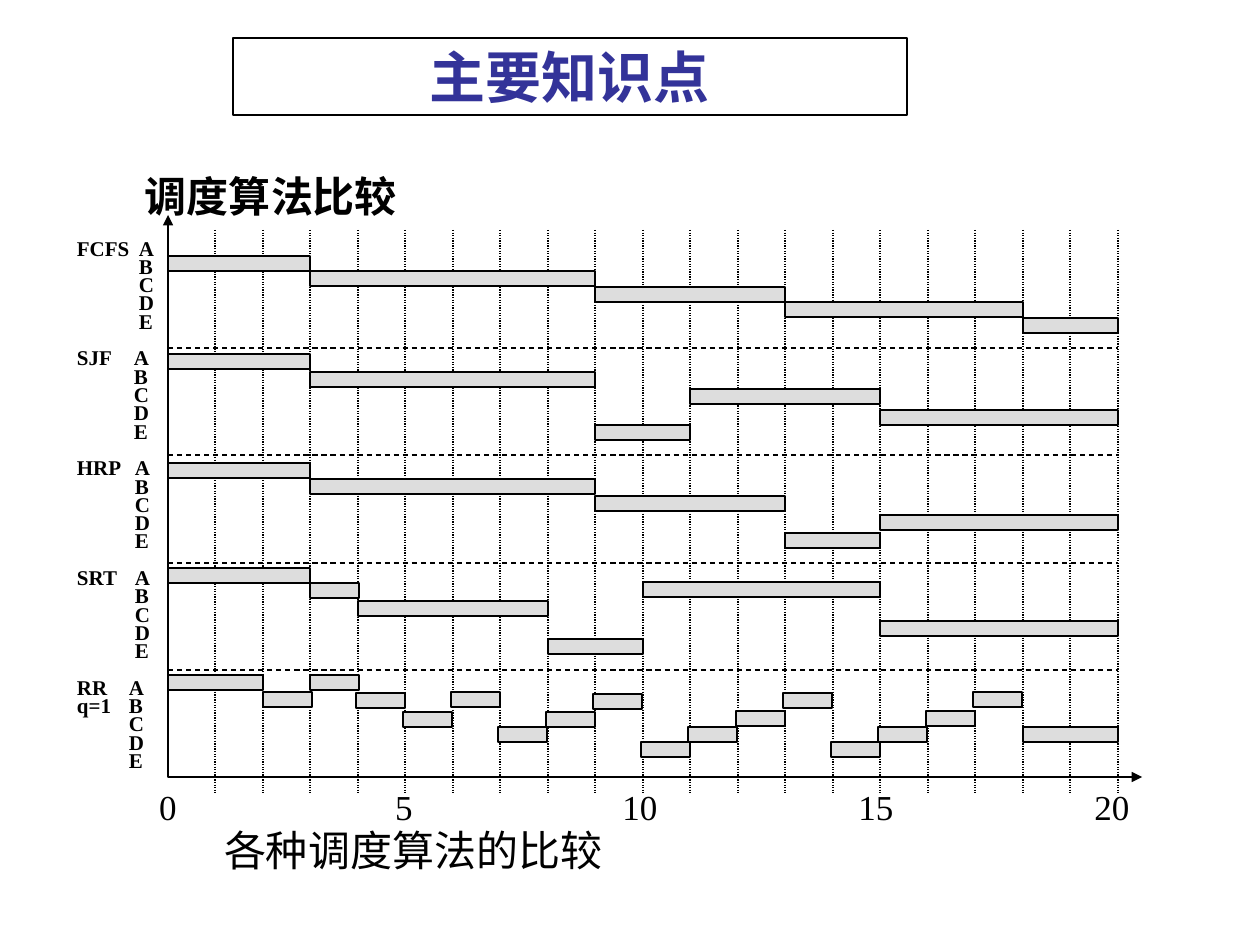
from dataclasses import dataclass

from pptx import Presentation
from pptx.dml.color import RGBColor
from pptx.enum.dml import MSO_LINE
from pptx.enum.shapes import MSO_CONNECTOR, MSO_SHAPE
from pptx.enum.text import MSO_ANCHOR, PP_ALIGN
from pptx.oxml.ns import qn
from pptx.oxml.xmlchemy import OxmlElement
from pptx.shapes.autoshape import Shape
from pptx.slide import Slide
from pptx.text.text import TextFrame
from pptx.util import Pt

STRAIGHT = MSO_CONNECTOR.STRAIGHT
RECTANGLE = MSO_SHAPE.RECTANGLE
DASH, DOT = MSO_LINE.DASH, MSO_LINE.ROUND_DOT
LEFT, CENTER = PP_ALIGN.LEFT, PP_ALIGN.CENTER
TOP, MIDDLE = MSO_ANCHOR.TOP, MSO_ANCHOR.MIDDLE

BLACK = RGBColor(0x00, 0x00, 0x00)
WHITE = RGBColor(0xFF, 0xFF, 0xFF)
GREY = RGBColor(0xDD, 0xDD, 0xDD)
INDIGO = RGBColor(0x33, 0x33, 0x99)
SERIF, SANS = "Times New Roman", "Roboto"

PX = 914400 / 126
LINE_WIDTH = Pt(0.75)
ROW_PITCH = Pt(10.45)

# Chart frame, in px
ORIGIN_X, ORIGIN_Y = 168, 777
AXIS_TOP, AXIS_RIGHT = 215, 1142
GRID_TOP, GRID_BOTTOM = 230, 793
LAST_TICK = 20
LABEL_X, LABEL_Y = 77, 242
BAR_HEIGHT = 15
UNIT_BAR_WIDTH = 49  # a one-unit bar slightly overlaps its neighbour
RR_SHIFT = -2


@dataclass(frozen=True)
class Bar:
    start: int
    length: int
    top: int
    shift: int = 0


@dataclass(frozen=True)
class Algorithm:
    names: tuple[str, ...]
    letter_x: int
    bars: tuple[Bar, ...]


RR_TOPS = (693, 712, 692, 727, 712, 694, 742, 727, 711, 693, 742, 727, 711, 692)
ALGORITHMS = (
    Algorithm(("FCFS",), 139, (
        Bar(0, 3, 256), Bar(3, 6, 271), Bar(9, 4, 287), Bar(13, 5, 302), Bar(18, 2, 318))),
    Algorithm(("SJF",), 134, (
        Bar(0, 3, 354), Bar(3, 6, 372), Bar(9, 2, 425), Bar(11, 4, 389), Bar(15, 5, 410))),
    Algorithm(("HRP",), 135, (
        Bar(0, 3, 463), Bar(3, 6, 479), Bar(9, 4, 496), Bar(13, 2, 533), Bar(15, 5, 515))),
    Algorithm(("SRT",), 135, (
        Bar(0, 3, 568), Bar(3, 1, 583), Bar(4, 4, 601), Bar(8, 2, 639),
        Bar(10, 5, 582), Bar(15, 5, 621))),
    Algorithm(("RR", "q=1"), 129, (
        Bar(0, 2, 675), Bar(2, 1, 692), Bar(3, 1, 675),
        *(Bar(start, 1, top, RR_SHIFT) for start, top in enumerate(RR_TOPS, 4)),
        Bar(18, 2, 727))),
)


def emu(px: int) -> int:
    return round(px * PX)


def tick_x(tick: int) -> int:
    return ORIGIN_X + tick * 95 // 2


def add_run(para, text: str, size: int, font: str, color: RGBColor, bold: bool) -> None:
    span = para.add_run()
    span.text = text
    span.font.size = Pt(size)
    span.font.name = font
    span.font.bold = bold
    span.font.color.rgb = color


def add_text_frame(page: Slide, left: int, top: int, width: int, height: int,
                   anchor: MSO_ANCHOR) -> TextFrame:
    box = page.shapes.add_textbox(emu(left), emu(top), emu(width), emu(height))
    frame = box.text_frame
    frame.word_wrap = True
    frame.vertical_anchor = anchor
    frame.margin_left = frame.margin_right = frame.margin_top = frame.margin_bottom = 0
    return frame


def add_label(page: Slide, text: str, left: int, top: int, width: int, height: int,
              size: int, font: str = SERIF, bold: bool = False,
              align: PP_ALIGN = LEFT, anchor: MSO_ANCHOR = MIDDLE) -> None:
    para = add_text_frame(page, left, top, width, height, anchor).paragraphs[0]
    para.alignment = align
    add_run(para, text, size, font, BLACK, bold)


def add_box(page: Slide, left: int, top: int, width: int, height: int,
            fill: RGBColor) -> Shape:
    box = page.shapes.add_shape(RECTANGLE, emu(left), emu(top), emu(width), emu(height))
    box.shadow.inherit = False
    box.fill.solid()
    box.fill.fore_color.rgb = fill
    box.line.color.rgb = BLACK
    box.line.width = LINE_WIDTH
    return box


def add_grid_line(page: Slide, x1: int, y1: int, x2: int, y2: int, dash: MSO_LINE) -> None:
    line = page.shapes.add_connector(STRAIGHT, emu(x1), emu(y1), emu(x2), emu(y2))
    line.line.color.rgb = BLACK
    line.line.width = LINE_WIDTH
    line.line.dash_style = dash
    line._element.spPr.append(OxmlElement("a:effectLst"))


def add_axes(page: Slide) -> None:
    builder = page.shapes.build_freeform(ORIGIN_X, AXIS_TOP, scale=PX)
    builder.add_line_segments([(ORIGIN_X, ORIGIN_Y), (AXIS_RIGHT, ORIGIN_Y)], close=False)
    axes = builder.convert_to_shape()
    axes.shadow.inherit = False
    axes.fill.background()
    axes.line.color.rgb = BLACK
    axes.line.width = LINE_WIDTH
    outline = axes._element.spPr.find(qn("a:ln"))
    for end in ("a:headEnd", "a:tailEnd"):
        arrow = OxmlElement(end)
        arrow.set("type", "triangle")
        outline.append(arrow)


def add_tab_stop(para, position: int) -> None:
    stops = OxmlElement("a:tabLst")
    stop = OxmlElement("a:tab")
    stop.set("pos", str(emu(position)))
    stop.set("algn", "l")
    stops.append(stop)
    para._p.get_or_add_pPr().append(stops)


def add_process_labels(page: Slide) -> None:
    frame = add_text_frame(page, LABEL_X, LABEL_Y, 90, 535, TOP)
    para = frame.paragraphs[0]
    for group, algorithm in enumerate(ALGORITHMS):
        for row, letter in enumerate("ABCDE"):
            if group or row:
                para = frame.add_paragraph()
            para.line_spacing = ROW_PITCH
            if group and row == 0:
                para.space_before = ROW_PITCH
            add_tab_stop(para, algorithm.letter_x - LABEL_X)
            name = algorithm.names[row] if row < len(algorithm.names) else ""
            add_run(para, f"{name}\t{letter}", 12, SERIF, BLACK, True)


def add_bar(page: Slide, bar: Bar) -> None:
    left = tick_x(bar.start)
    width = UNIT_BAR_WIDTH if bar.length == 1 else tick_x(bar.start + bar.length) - left
    add_box(page, left + bar.shift, bar.top, width, BAR_HEIGHT, GREY)


def main() -> None:
    deck = Presentation()
    deck.slide_width, deck.slide_height = emu(1260), emu(945)
    page = deck.slides.add_slide(deck.slide_layouts[6])

    # Heading, axes and process names
    add_label(page, "调度算法比较", 145, 165, 900, 62, 24, SANS, bold=True)
    add_axes(page)
    add_process_labels(page)

    # Separators between algorithms and time grid
    for y in (348, 455, 563, 670):
        add_grid_line(page, ORIGIN_X, y, tick_x(LAST_TICK), y, DASH)
    for tick in range(1, LAST_TICK + 1):
        add_grid_line(page, tick_x(tick), GRID_TOP, tick_x(tick), GRID_BOTTOM, DOT)

    # Time scale and caption
    for index in range(5):
        center = ORIGIN_X + 236 * index
        add_label(page, str(5 * index), center - 30, 786, 60, 40, 20,
                  align=CENTER, anchor=TOP)
    add_label(page, "各种调度算法的比较", 224, 819, 500, 62, 24)

    # Bars
    for algorithm in ALGORITHMS:
        for bar in algorithm.bars:
            add_bar(page, bar)

    # Title
    title = add_box(page, 233, 38, 674, 77, WHITE)
    title.text_frame.vertical_anchor = MIDDLE
    para = title.text_frame.paragraphs[0]
    para.alignment = CENTER
    add_run(para, "主要知识点", 32, SANS, INDIGO, True)

    deck.save("out.pptx")


if __name__ == "__main__":
    main()
